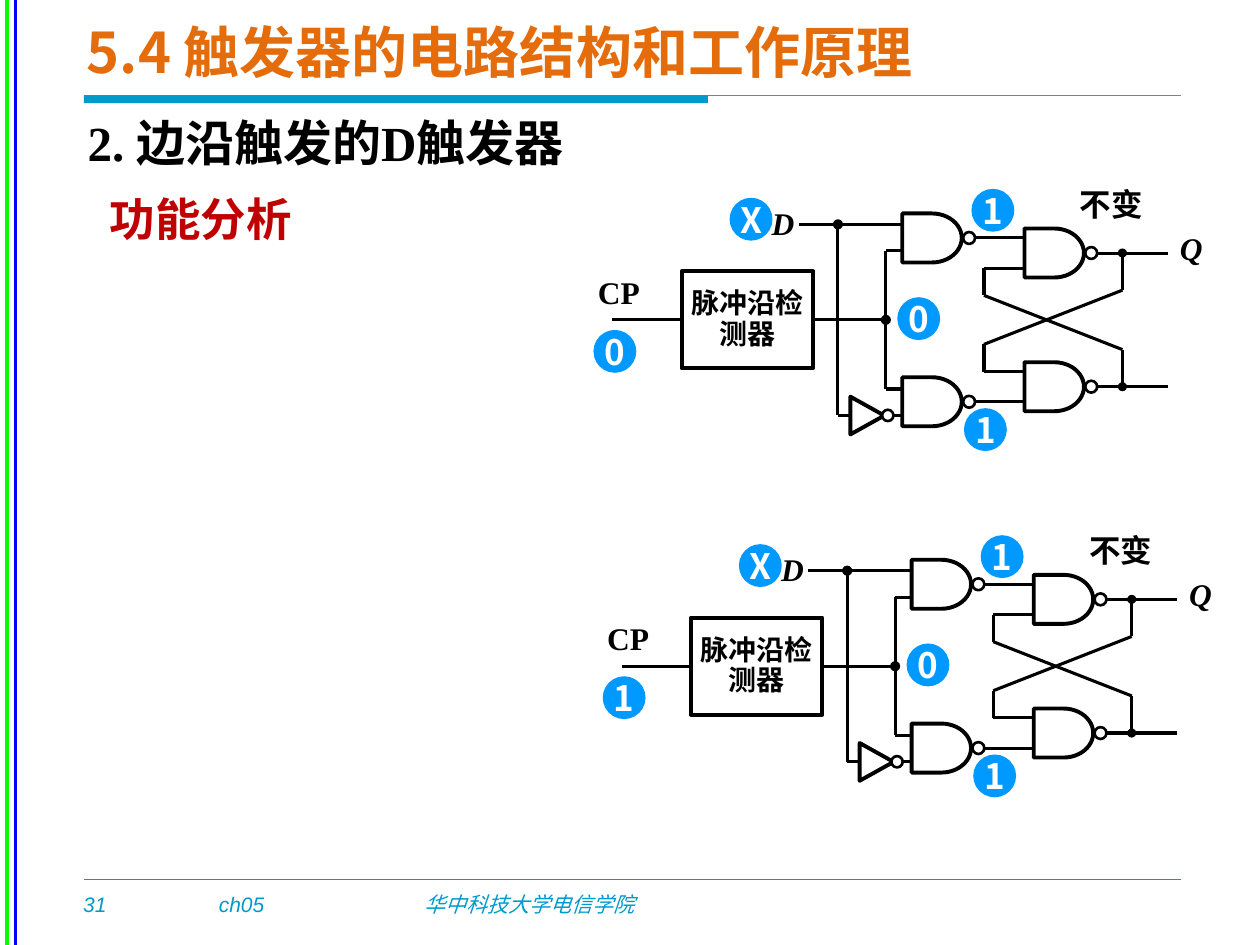
import lxml.etree
import pptx
import pptx.dml.color
import pptx.enum.shapes
import pptx.enum.text
import pptx.oxml.ns
import pptx.util

Pt = pptx.util.Pt
RGBColor = pptx.dml.color.RGBColor
SHAPE = pptx.enum.shapes.MSO_SHAPE
ALIGN = pptx.enum.text.PP_ALIGN
ANCHOR = pptx.enum.text.MSO_ANCHOR
qn = pptx.oxml.ns.qn

BLACK = RGBColor(0x00, 0x00, 0x00)
WHITE = RGBColor(0xFF, 0xFF, 0xFF)
BLUE = RGBColor(0x00, 0x00, 0xFF)
GREEN = RGBColor(0x00, 0xFF, 0x00)
TEAL = RGBColor(0x00, 0x99, 0xCC)
GRAY = RGBColor(0x80, 0x80, 0x80)
ORANGE = RGBColor(0xE4, 0x6C, 0x0A)
RED = RGBColor(0xC0, 0x00, 0x00)
BADGE = RGBColor(0x00, 0x99, 0xFF)

SANS = "Noto Sans CJK SC"
SERIF = "Times New Roman"


def add_line(slide, x1, y1, x2, y2, color=BLACK, weight=1.75):
    line = slide.shapes.add_connector(
        pptx.enum.shapes.MSO_CONNECTOR.STRAIGHT, Pt(x1), Pt(y1), Pt(x2), Pt(y2))
    line.line.color.rgb = color
    line.line.width = Pt(weight)
    lxml.etree.SubElement(line._element.spPr, qn("a:effectLst"))
    return line


def add_part(slide, preset, x, y, width, height, fill=WHITE, weight=0):
    part = slide.shapes.add_shape(preset, Pt(x), Pt(y), Pt(width), Pt(height))
    part.shadow.inherit = False
    part.fill.solid()
    part.fill.fore_color.rgb = fill
    if weight:
        part.line.color.rgb = BLACK
        part.line.width = Pt(weight)
    else:
        part.line.fill.background()
    return part


def add_disc(slide, x, y, size, fill=BLACK, weight=0):
    """Circle centred on (x, y)."""
    return add_part(slide, SHAPE.OVAL, x - size / 2, y - size / 2, size, size, fill, weight)


def write(holder, text, size, font, color=BLACK, bold=True, italic=False,
          align=ALIGN.LEFT, anchor=ANCHOR.TOP, inset=None, spacing=None, wrap=True):
    frame = holder.text_frame
    frame.word_wrap = wrap
    frame.vertical_anchor = anchor
    if inset is not None:
        frame.margin_left = frame.margin_right = Pt(inset)
        frame.margin_top = frame.margin_bottom = Pt(0)
    frame.text = text
    paragraph = frame.paragraphs[0]
    paragraph.alignment = align
    if spacing:
        paragraph.line_spacing = spacing
    for run in paragraph.runs:
        run.font.size = Pt(size)
        run.font.name = font
        run.font.bold = bold
        run.font.italic = italic
        run.font.color.rgb = color
        east_asian = lxml.etree.SubElement(run._r.get_or_add_rPr(), qn("a:ea"))
        east_asian.set("typeface", SANS)


def add_text(slide, x, y, width, height, text, size, font, **style):
    box = slide.shapes.add_textbox(Pt(x), Pt(y), Pt(width), Pt(height))
    write(box, text, size, font, **style)


def draw_frame(slide, width, height):
    # Vertical stripes at the left edge
    add_line(slide, 9, 0, 9, height, BLUE, 2)
    add_line(slide, 4, 0, 4, height, GREEN, 2)
    # Rule under the title
    left, right = 48, width - 45
    add_line(slide, left, 54.5, right, 54.5, GRAY, 0.5)
    add_part(slide, SHAPE.RECTANGLE, left, 54.5, 356.5, 4.5, TEAL)
    # Footer
    add_line(slide, left, height - 37.5, right, height - 37.5, TEAL, 1)
    for x, box_width, text in ((40.5, 30, "31"), (118, 58, "ch05"),
                               (235.5, 191, "华中科技大学电信学院")):
        add_text(slide, x, height - 34, box_width, 21.5, text, 12, "Arial",
                 color=TEAL, bold=False, italic=True)


def draw_headings(slide, left, top):
    add_text(slide, left, top, 519, 51, "5.4 触发器的电路结构和工作原理", 32, SANS,
             color=ORANGE, anchor=ANCHOR.MIDDLE)
    add_text(slide, left + 0.5, top + 57, 629, 41, "2. 边沿触发的D触发器", 28, SERIF)
    add_text(slide, left + 13, top + 102, 214, 39, "功能分析", 26, SANS, color=RED)


def draw_flip_flop(slide, left, top, clock_value):
    """Edge-triggered D flip-flop; both halves mirror each other about the axis."""
    axis = top + 76.3
    data_x, clock_x = left + 146.8, left + 174.2
    gate_x, latch_x = left + 183.6, left + 253.4
    cross_x, output_x = left + 230.3, left + 309.4
    data_gap, gate_gap, clock_gap = 54.6, 46.8, 39.5
    output_gap, cross_gap = 38.2, 29.5

    # Pulse edge detector with clock wires
    detector = add_part(slide, SHAPE.RECTANGLE, left + 57.6, axis - 27.75, 75, 55.5, weight=2.25)
    write(detector, "脉冲沿检测器", 16, SANS, align=ALIGN.CENTER,
          anchor=ANCHOR.MIDDLE, inset=5, spacing=0.9)
    add_line(slide, left + 18, axis, left + 57.6, axis).end_connect(detector, 1)
    add_line(slide, left + 132.6, axis, clock_x, axis).begin_connect(detector, 3)

    # Vertical data and clock wires
    add_line(slide, data_x, axis - data_gap, data_x, axis + data_gap)
    add_line(slide, clock_x, axis - clock_gap, clock_x, axis + clock_gap)

    for side, data_start in ((-1, left + 124.5), (1, data_x)):
        wires = (
            (data_start, data_gap, gate_x, data_gap),
            (clock_x, clock_gap, gate_x, clock_gap),
            (gate_x + 34, gate_gap, latch_x, gate_gap),
            (latch_x, cross_gap, cross_x, cross_gap),
            (cross_x, cross_gap, cross_x, 14),
            (cross_x, 14, output_x, -17),
            (output_x, 17, output_x, output_gap),
            (latch_x + 34, output_gap, left + 335.5, output_gap),
        )
        for x1, gap1, x2, gap2 in wires:
            add_line(slide, x1, axis + side * gap1, x2, axis + side * gap2)
        # NAND gates with their output bubbles
        for x, gap in ((gate_x, gate_gap), (latch_x, output_gap)):
            y = axis + side * gap
            add_part(slide, SHAPE.FLOWCHART_DELAY, x, y - 14, 34, 28, weight=2.25)
            add_disc(slide, x + 38.2, y, 6.8, WHITE, 1.5)
        add_disc(slide, output_x, axis + side * output_gap, 5.2)

    # Inverter
    inverter = add_part(slide, SHAPE.ISOSCELES_TRIANGLE, left + 152.8, axis + 45, 21.6, 19.4,
                        weight=2.25)
    inverter.rotation = 90
    add_disc(slide, left + 175.3, axis + data_gap, 6.5, WHITE, 1.5)

    # Junctions
    add_disc(slide, clock_x, axis, 5.8)
    add_disc(slide, data_x, axis - data_gap, 5.8)

    # Signal names
    for x, y, width, name, italic in ((-0.7, 51.8, 44.6, "CP", False),
                                      (105.8, 12.3, 19.4, "D", True),
                                      (339, 26.7, 19.4, "Q", True)):
        add_text(slide, left + x, top + y, width, 19.4, name, 18, SERIF, italic=italic,
                 align=ALIGN.CENTER, inset=0, spacing=0.9)
    add_text(slide, left + 278, top - 4.3, 90.7, 28.8, "不变", 18, "Arial Narrow")

    # Signal values
    for x, y, value in ((97.2, 18.8, "X"), (235.4, 13.7, "1"), (19.4, 94.3, clock_value),
                        (193, 75.6, "0"), (231.1, 139, "1")):
        badge = add_disc(slide, left + x, top + y, 24.5, BADGE)
        write(badge, value, 20, SANS, color=WHITE, align=ALIGN.CENTER,
              anchor=ANCHOR.MIDDLE, wrap=False)


def main():
    deck = pptx.Presentation()
    deck.slide_width, deck.slide_height = Pt(720), Pt(540)
    slide = deck.slides.add_slide(deck.slide_layouts[6])
    draw_frame(slide, 720, 540)
    draw_headings(slide, 42.5, 3.5)
    draw_flip_flop(slide, 332, 106.5, "0")
    draw_flip_flop(slide, 337.3, 304.4, "1")
    deck.save("out.pptx")


if __name__ == "__main__":
    main()
